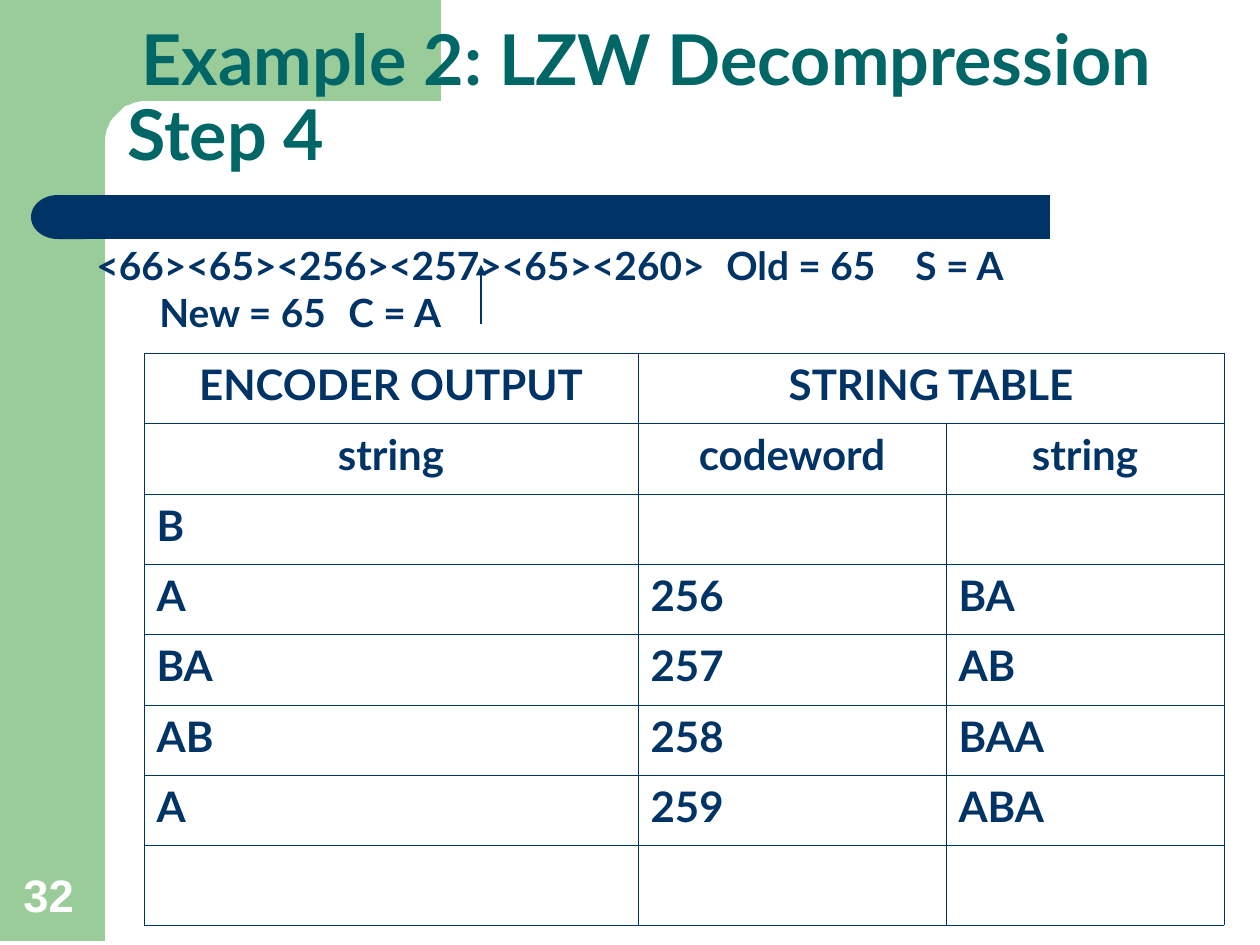
"""Build the LZW decompression slide, step 4."""
import math
from lxml import etree
from pptx import Presentation
from pptx import util as u
from pptx.dml.color import RGBColor
from pptx.enum import shapes as sh, text as tx
from pptx.oxml import ns

PX = u.Inches(1) // 126
HUE = {"leaf": "99CC99", "navy": "003366", "teal": "006666", "white": "FFFFFF"}
ROWS = [
    ("ENCODER OUTPUT", "STRING TABLE", ""),
    ("string", "codeword", "string"),
    ("B", "", ""),
    ("A", "256", "BA"),
    ("BA", "257", "AB"),
    ("AB", "258", "BAA"),
    ("A", "259", "ABA"),
    ("", "", ""),
]
COLS = (494, 308, 278)
TALL = (70, 71, 70, 70, 71, 70, 70, 80)


def px(*nums):
    return [n * PX for n in nums]


def rgb(hue):
    return RGBColor.from_string(HUE[hue])


def node(top, tag, **atts):
    return etree.SubElement(top, ns.qn("a:" + tag), atts)


def paint(shape, hue):
    shape.shadow.inherit = False
    shape.fill.solid()
    shape.fill.fore_color.rgb = rgb(hue)
    shape.line.fill.background()
    return shape


def block(slide, kind, box, hue):
    return paint(slide.shapes.add_shape(kind, *px(*box)), hue)


def corner(slide):
    """Draw the green band whose lower edge curves into the side bar."""
    mid, rad = (146, 142), 41
    turns = [math.radians(270 - 6 * i) for i in range(16)]
    arc = [(round(mid[0] + rad * math.cos(t)), round(mid[1] + rad * math.sin(t))) for t in turns]
    pen = slide.shapes.build_freeform(63, -4, scale=PX)
    pen.add_line_segments([(441, -4), (441, 101), *arc, (105, 157), (63, 157)])
    paint(pen.convert_to_shape(), "leaf")


def style(par, size, hue, face="Lato"):
    font = par.font
    font.name, font.size, font.bold = face, u.Pt(size), True
    font.color.rgb = rgb(hue)


def label(slide, box, lines, size, hue, face="Lato", low=False, lead=1.0):
    frame = slide.shapes.add_textbox(*px(*box)).text_frame
    frame.word_wrap = True
    frame.vertical_anchor = tx.MSO_ANCHOR.BOTTOM if low else tx.MSO_ANCHOR.TOP
    for i, (line, stops, dent) in enumerate(lines):
        par = frame.add_paragraph() if i else frame.paragraphs[0]
        par.text = line
        prop = par._p.get_or_add_pPr()
        prop.set("indent", str(dent * PX))
        if stops:
            tabs = node(prop, "tabLst")
            for stop in stops:
                node(tabs, "tab", pos=str(stop * PX), algn="l")
        par.line_spacing = lead
        if i:
            par.space_before = u.Pt(6)
        style(par, size, hue, face)


def edge(cell):
    prop = cell._tc.get_or_add_tcPr()
    for side in ("lnL", "lnR", "lnT", "lnB"):
        line = node(prop, side, w=str(u.Pt(0.45)))
        node(node(line, "solidFill"), "srgbClr", val=HUE["navy"])
    cell.fill.background()


def grid(slide):
    """Draw the decoder table."""
    box = px(144, 353, sum(COLS), sum(TALL))
    table = slide.shapes.add_table(len(ROWS), len(COLS), *box).table
    table.first_row = table.horz_banding = False
    for col, wide in zip(table.columns, COLS):
        col.width = wide * PX
    for r, (row, tall) in enumerate(zip(ROWS, TALL)):
        table.rows[r].height = tall * PX
        for c, word in enumerate(row):
            cell = table.cell(r, c)
            edge(cell)
            cell.text = word
            par = cell.text_frame.paragraphs[0]
            par.alignment = tx.PP_ALIGN.CENTER if r < 2 else tx.PP_ALIGN.LEFT
            style(par, 24, "navy")
    table.cell(0, 1).merge(table.cell(0, 2))


def arrow(slide, start, end):
    line = slide.shapes.add_connector(sh.MSO_CONNECTOR.STRAIGHT, *px(*start, *end))
    line.line.color.rgb = rgb("navy")
    line.line.width = u.Pt(0.75)
    node(line.line._get_or_add_ln(), "tailEnd", type="triangle")
    node(line._element.spPr, "effectLst")


def main():
    deck = Presentation()
    deck.slide_width, deck.slide_height = px(1260, 945)
    slide = deck.slides.add_slide(deck.slide_layouts[6])
    kind = sh.MSO_SHAPE
    block(slide, kind.RECTANGLE, (0, -4, 105, 945), "leaf")
    corner(slide)
    block(slide, kind.RECTANGLE, (84, 195, 966, 44), "navy")
    block(slide, kind.FLOWCHART_DELAY, (31, 195, 54, 44), "navy").rotation = 180
    title = [("Example 2: LZW Decompression Step 4", (), 14)]
    label(slide, (115, 45, 1072, 137), title, 40, "teal", low=True, lead=0.9)
    state = [
        ("<66><65><256><257><65><260>\tOld = 65\tS = A", (750, 937), 0),
        ("\tNew = 65\tC = A", (804, 999), 0),
    ]
    label(slide, (84, 244, 1134, 163), state, 22.2, "navy", lead=0.8)
    grid(slide)
    arrow(slide, (481, 324), (481, 265))
    label(slide, (11, 861, 81, 67), [("32", (), 0)], 26, "white", "Arial", low=True)
    deck.save("out.pptx")


if __name__ == "__main__":
    main()
